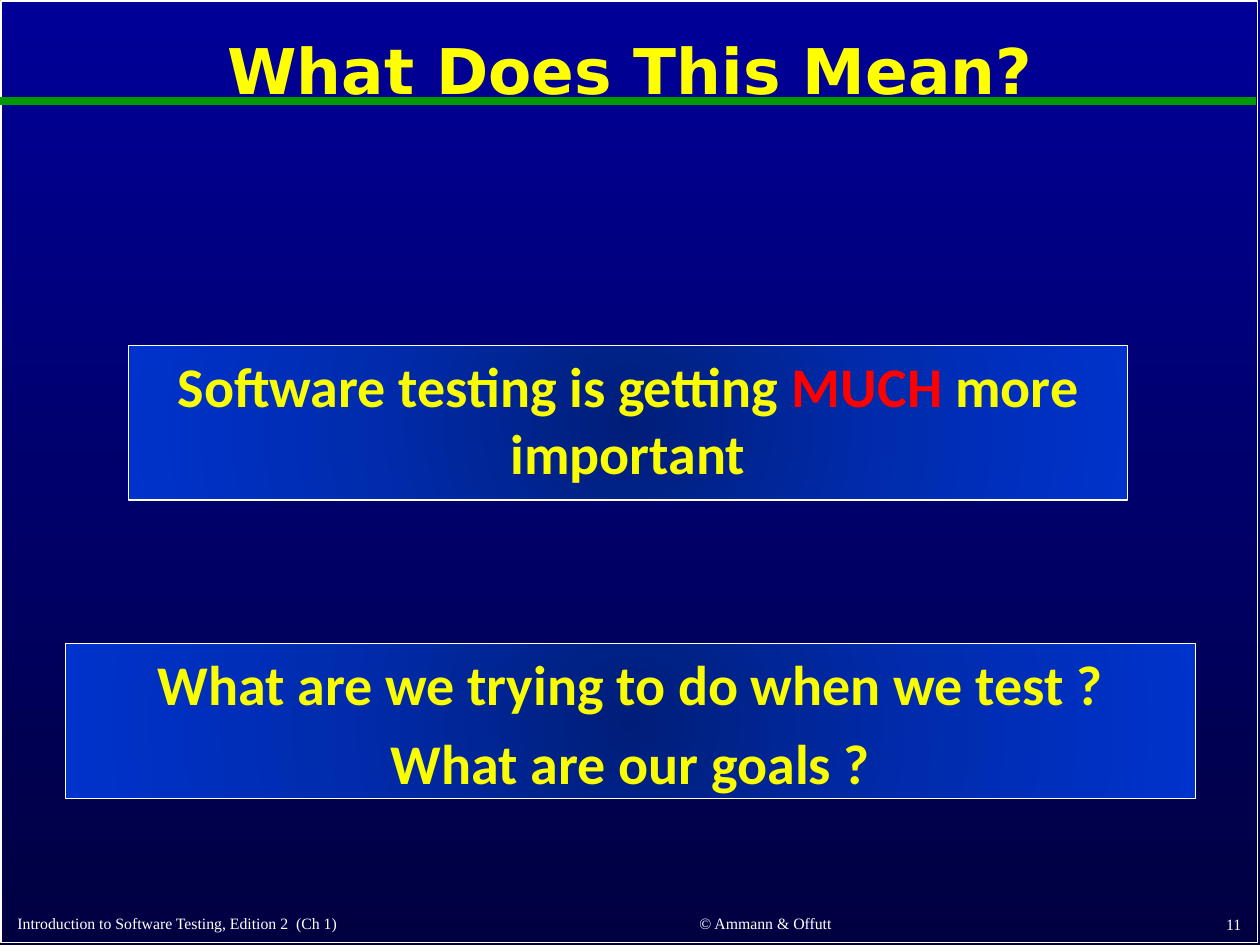
import pptx
import pptx.dml.color
import pptx.enum.shapes
import pptx.enum.text
import pptx.oxml
import pptx.oxml.ns
import pptx.util
from pptx.util import Inches

RGBColor = pptx.dml.color.RGBColor
ALIGN = pptx.enum.text.PP_ALIGN
ANCHOR = pptx.enum.text.MSO_ANCHOR
RECTANGLE = pptx.enum.shapes.MSO_SHAPE.RECTANGLE

WHITE = RGBColor(0xFF, 0xFF, 0xFF)
YELLOW = RGBColor(0xFF, 0xFF, 0x00)
GOLD = RGBColor(0xFA, 0xFD, 0x00)
RED = RGBColor(0xFF, 0x00, 0x00)
GREEN = RGBColor(0x00, 0x99, 0x00)
BACKGROUND = [RGBColor(0, 0, 0x99), RGBColor(0, 0, 0x6D), RGBColor(0, 0, 0x40)]
PANEL = [RGBColor(0, 0x1E, 0x79), RGBColor(0, 0x2B, 0xAC), RGBColor(0, 0x33, 0xCC)]


def set_gradient(fill, owner, colors, direction):
    """Fill with evenly spaced stops and the given direction element."""
    fill.gradient()
    old = owner.find(".//" + pptx.oxml.ns.qn("a:gradFill"))
    step = 100000 // (len(colors) - 1)
    stops = "".join(
        f'<a:gs pos="{i * step}"><a:srgbClr val="{color}"/></a:gs>'
        for i, color in enumerate(colors))
    new = pptx.oxml.parse_xml(
        f'<a:gradFill {pptx.oxml.ns.nsdecls("a")} rotWithShape="1">'
        f'<a:gsLst>{stops}</a:gsLst>{direction}</a:gradFill>')
    old.getparent().replace(old, new)


def add_span(para, text, font_name, size, color, bold=False):
    span = para.add_run()
    span.text = text
    span.font.name = font_name
    span.font.size = pptx.util.Pt(size)
    span.font.bold = bold
    span.font.color.rgb = color


deck = pptx.Presentation()
deck.slide_width, deck.slide_height = Inches(10), Inches(7.5)
slide = deck.slides.add_slide(deck.slide_layouts[6])
shapes = slide.shapes
set_gradient(slide.background.fill, slide.element, BACKGROUND,
             '<a:lin ang="5400000" scaled="0"/>')

# Frame and title rule
frame = shapes.add_shape(RECTANGLE, Inches(0.01), Inches(0.01), Inches(9.97), Inches(7.47))
frame.shadow.inherit = False
frame.fill.background()
frame.line.color.rgb = WHITE
frame.line.width = pptx.util.Pt(1)

rule = shapes.add_connector(pptx.enum.shapes.MSO_CONNECTOR.STRAIGHT,
                            Inches(0), Inches(0.8), Inches(9.97), Inches(0.8))
rule.line.color.rgb = GREEN
rule.line.width = pptx.util.Pt(4.5)
rule.element.spPr.append(
    pptx.oxml.parse_xml(f'<a:effectLst {pptx.oxml.ns.nsdecls("a")}/>'))

# Title
title = shapes.add_textbox(Inches(0.05), Inches(0.11), Inches(9.9), Inches(0.95))
title.text_frame.word_wrap = True
title.text_frame.vertical_anchor = ANCHOR.MIDDLE
para = title.text_frame.paragraphs[0]
para.alignment = ALIGN.CENTER
para.line_spacing = 0.9
add_span(para, "What Does This Mean?", "DejaVu Sans", 36, YELLOW, True)

# Footer: source, copyright, page number
for left, top, width, height, align, text in [
    (0.04, 7.18, 4.2, 0.27, ALIGN.LEFT, "Introduction to Software Testing, Edition 2  (Ch 1)"),
    (4.49, 7.17, 3.17, 0.28, ALIGN.CENTER, "© Ammann & Offutt"),
    (7.87, 7.17, 2.08, 0.29, ALIGN.RIGHT, "11"),
]:
    footer = shapes.add_textbox(Inches(left), Inches(top), Inches(width), Inches(height))
    footer.text_frame.word_wrap = True
    footer.text_frame.vertical_anchor = ANCHOR.BOTTOM
    para = footer.text_frame.paragraphs[0]
    para.alignment = align
    add_span(para, text, "Times New Roman", 9, WHITE)

# Message panels: each line is a list of coloured spans
for left, top, width, lines in [
    (1.02, 2.74, 7.93, [[("Software testing is getting ", GOLD), ("MUCH", RED),
                         (" more important", GOLD)]]),
    (0.52, 5.11, 8.97, [[("What are we trying to do when we test ?", GOLD)],
                        [("What are our goals ?", GOLD)]]),
]:
    panel = shapes.add_shape(RECTANGLE, Inches(left), Inches(top), Inches(width), Inches(1.23))
    panel.shadow.inherit = False
    set_gradient(panel.fill, panel.element, PANEL,
                 '<a:path path="circle">'
                 '<a:fillToRect l="50000" t="50000" r="50000" b="50000"/></a:path>')
    panel.line.color.rgb = WHITE
    panel.line.width = pptx.util.Pt(0.75)
    frame_text = panel.text_frame
    frame_text.word_wrap = True
    frame_text.vertical_anchor = ANCHOR.TOP
    for i, line in enumerate(lines):
        para = frame_text.add_paragraph() if i else frame_text.paragraphs[0]
        para.alignment = ALIGN.CENTER
        if i:
            para.space_before = pptx.util.Pt(6.4)
        for text, color in line:
            add_span(para, text, "Calibri", 32, color, True)

deck.save("out.pptx")
